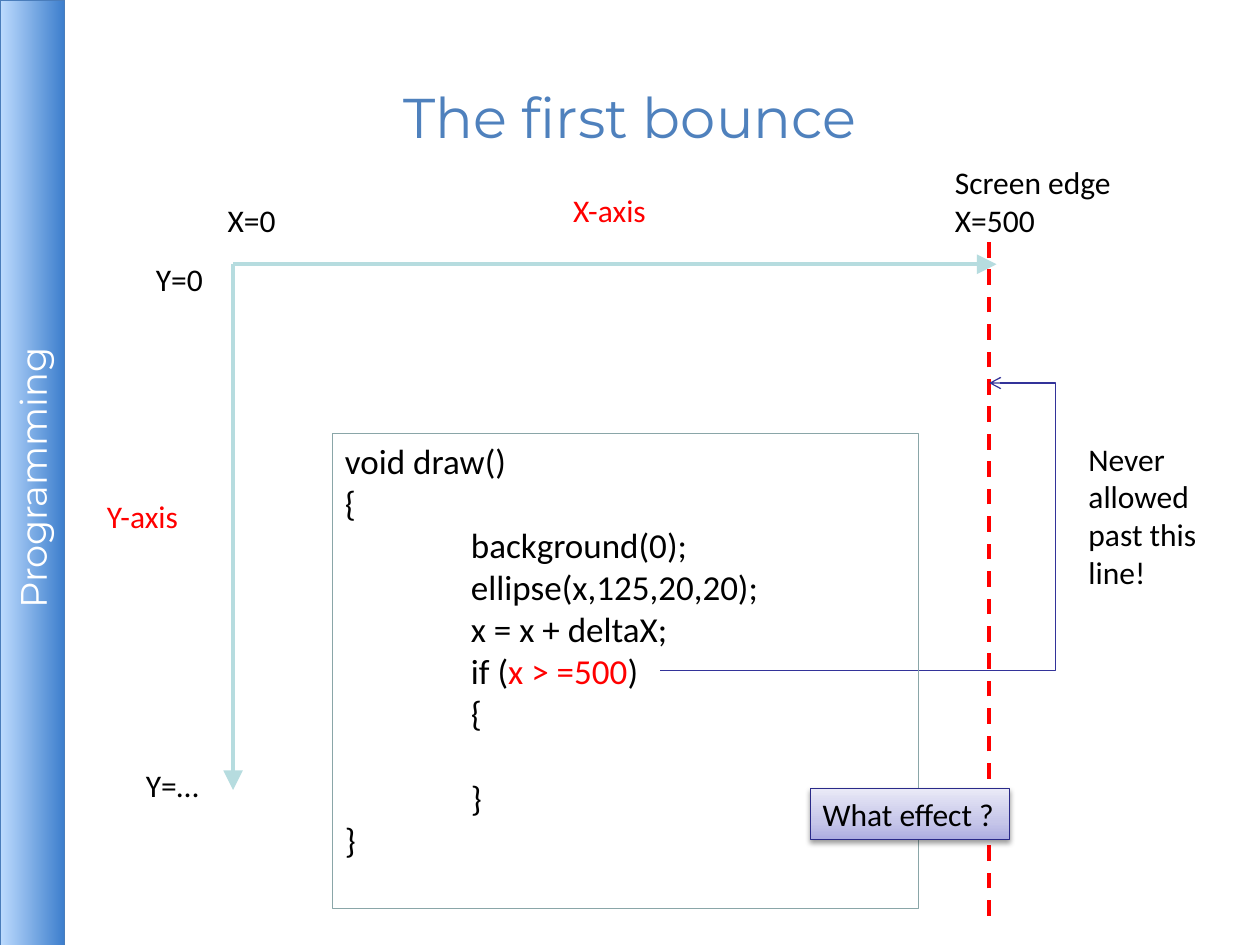
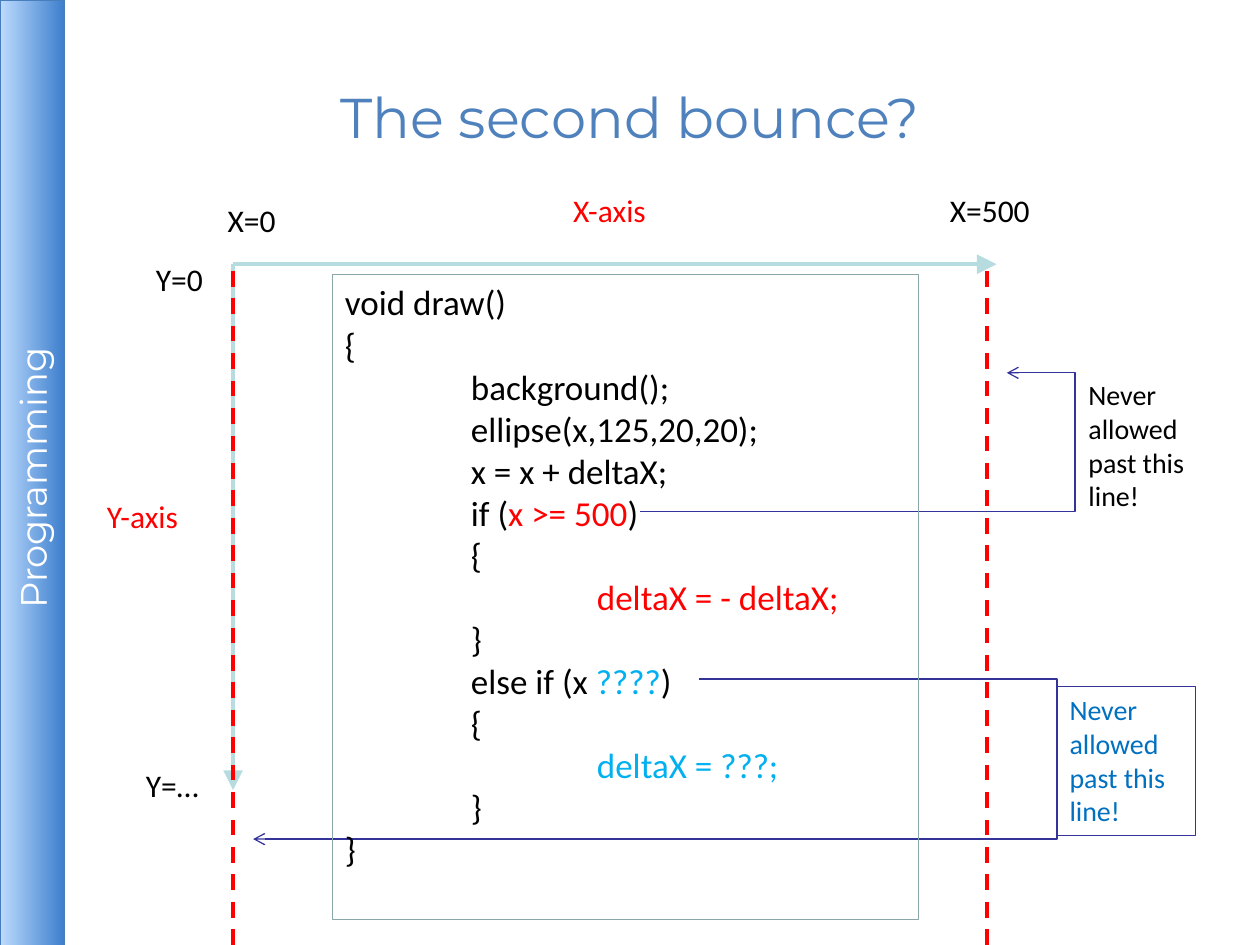
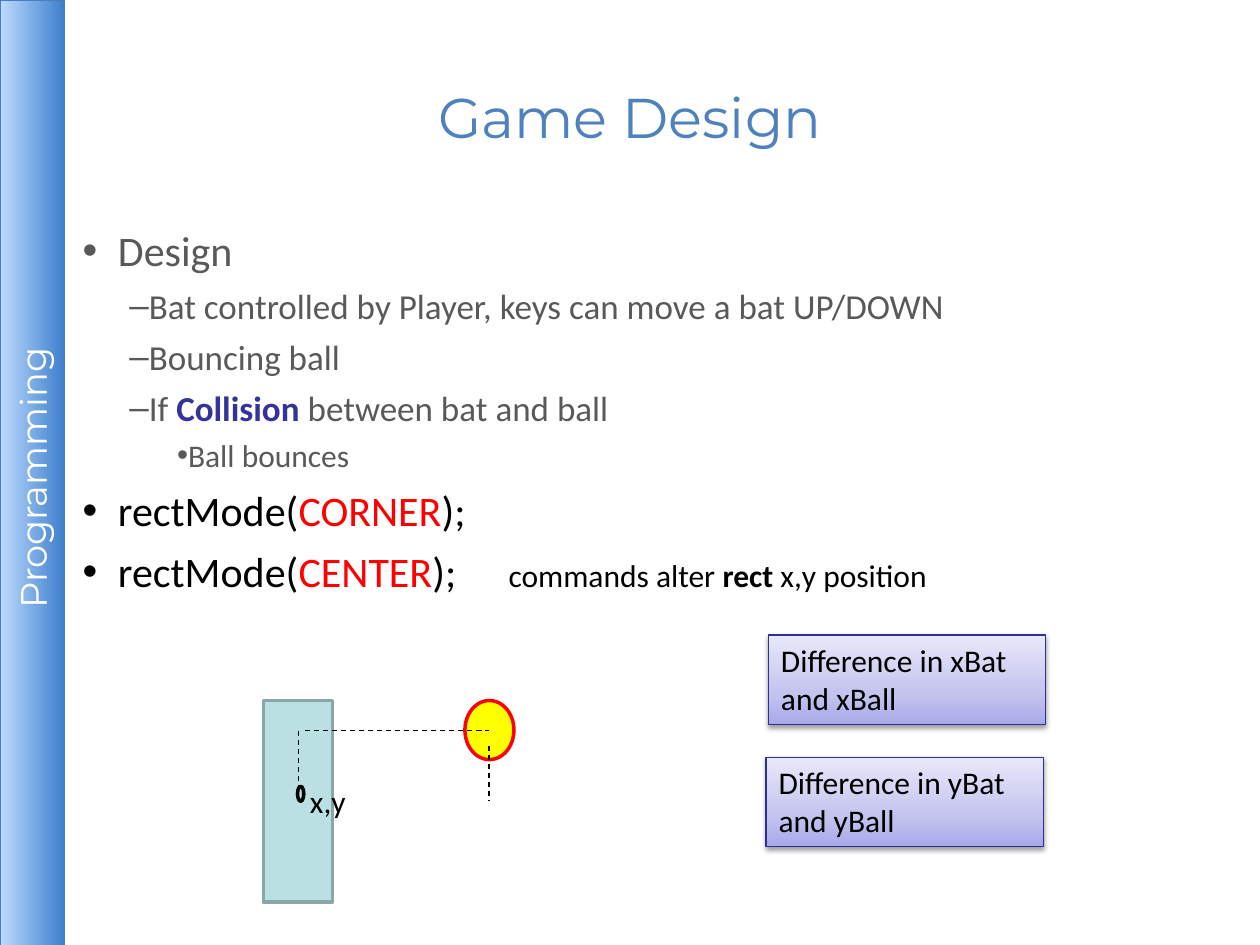
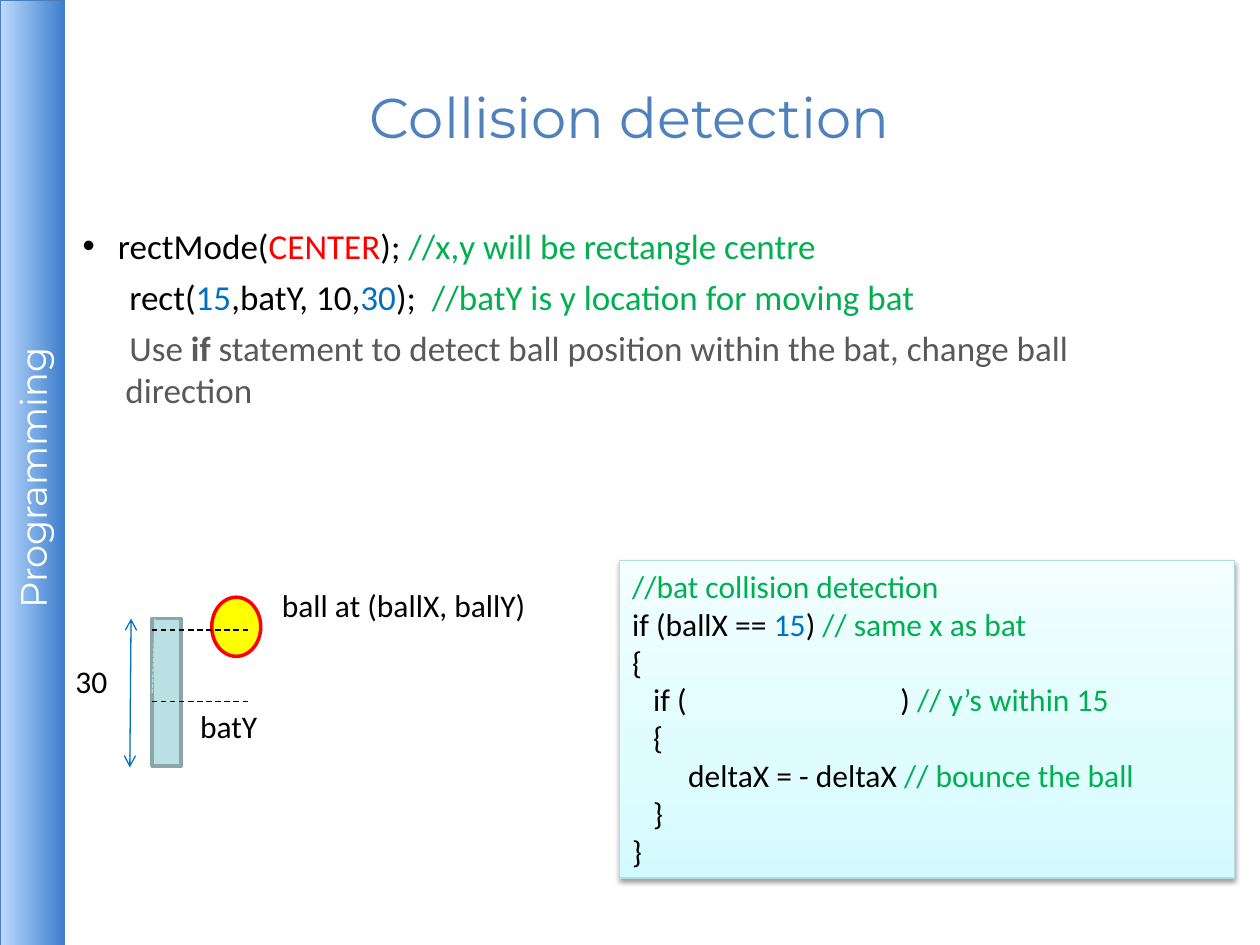
from lxml.etree import SubElement
from pptx import Presentation
from pptx.dml.color import RGBColor
from pptx.enum.dml import MSO_LINE
from pptx.enum.shapes import MSO_CONNECTOR, MSO_SHAPE
from pptx.enum.text import MSO_ANCHOR, MSO_AUTO_SIZE, PP_ALIGN
from pptx.oxml.ns import qn
from pptx.util import Pt


def hue(code):
    return RGBColor.from_string(code)


def write(frame, paras, base):
    """Fill a frame; each paragraph is (layout, run, run ...)."""
    for i, (form, *runs) in enumerate(paras):
        para = frame.paragraphs[0] if i == 0 else frame.add_paragraph()
        para.alignment = form.get("align", PP_ALIGN.LEFT)
        if "before" in form:
            para.space_before = Pt(form["before"])
        prop = para._p.get_or_add_pPr()
        prop.set("marL", str(Pt(form.get("left", 0))))
        prop.set("indent", str(Pt(form.get("first", 0))))
        if form.get("bullet"):
            SubElement(prop, qn("a:buChar"), char=form["bullet"])
        elif "bullet" in form:
            SubElement(prop, qn("a:buNone"))
        if "tab" in form:
            stops = SubElement(prop, qn("a:tabLst"))
            SubElement(stops, qn("a:tab"), pos=str(Pt(form["tab"])), algn="l")
        for item in runs:
            text, extra = (item, {}) if isinstance(item, str) else item
            run = para.add_run()
            run.text = text
            for key, val in {**base, **extra}.items():
                if key == "color":
                    run.font.color.rgb = hue(val)
                elif key == "spread":
                    run._r.get_or_add_rPr().set("spc", str(val * 100))
                else:
                    setattr(run.font, key, val)


# Text formats
plain = {"name": "Calibri", "size": Pt(18), "color": "000000"}
small = {**plain, "size": Pt(16)}
code = {**plain, "size": Pt(20)}
head = {"name": "Montserrat", "size": Pt(32), "color": "4F81BD"}
side = {**head, "size": Pt(21), "color": "FFFFFF"}
red, sky, blue, green, black, grey = (
    {"color": c} for c in
    ("FF0000", "00B0F0", "0070C0", "00B050", "000000", "595959"))
bold = {"bold": True}
note = {**black, "size": Pt(18)}

# Paragraph layouts
flush = {}
mid = {"align": PP_ALIGN.CENTER}
one, two = {"left": 72}, {"left": 144}
gap = {"left": 72, "before": 24.4}
inner, deep = {"left": 12}, {"left": 32}
dot = {"left": 20.2, "first": -20.2, "before": 6, "bullet": "•"}
dash = {"left": 24.5, "first": 2.2, "before": 5.2, "bullet": "–"}
bare = {**dash, "bullet": ""}
sub = {"left": 51.8, "first": 2.2, "before": 4.5, "bullet": "•"}

# Box looks: fill (none, one colour or gradient stops), line, width
lilac = [(0, "A9A9E9"), (35, "C4C4EF"), (100, "E8E8FA")]
looks = {
    "band": ([(0, "BDDBFE"), (100, "3E7FCD")], "4A7DBB", 0.75),
    "code": (None, "8AA6A8", 0.75),
    "frame": (None, "333399", 0.75),
    "hint": (lilac, "2F2F98", 0.75),
    "ask": ([(0, "ADADE1"), (35, "C6C6E9"), (100, "E9E9F7")], "2A2A89", 0.75),
    "aqua": ([(0, "D3FBFF"), (35, "DFFCFF"), (100, "F2FEFF")], "B6DCDF", 0.75),
    "bat": ("BBE0E3", "8AA6A8", 2),
    "ball": ("FFFF00", "FF0000", 2),
    "point": ("BBE0E3", "000000", 2),
}
round_looks = ("ball", "point")

# Line looks: colour, width, dash, head, tail, size of the arrowheads
pens = {
    "axis": ("B6DCDF", 2.25, None, None, "triangle", "lg"),
    "edge": ("FF0000", 2.25, MSO_LINE.DASH, None, None, None),
    "bend": ("333399", 0.75, None, None, "arrow", "med"),
    "thin": ("000000", 0.75, MSO_LINE.DASH, None, None, None),
    "pale": ("B6DCDF", 0.75, MSO_LINE.SQUARE_DOT, None, None, None),
    "span": ("0070C0", 0.75, None, "arrow", "arrow", "med"),
}

# Titles and lists
heads = ["The first bounce", "The second bounce?",
         "Game Design", "Collision detection"]
lists = {
    2: ({**code, **grey}, [
        (dot, ("Design", {"size": Pt(24)})),
        (dash, "Bat controlled by Player, keys can move a bat UP/DOWN"),
        (dash, "Bouncing ball"),
        (dash, "If ", ("Collision", {"color": "333399", **bold}),
         " between bat and ball"),
        (sub, ("Ball bounces", {"size": Pt(18)})),
        *[({**dot, "tab": 243.4},
           *[(text, {"size": Pt(24), **tint}) for text, tint in
             (("rectMode(", black), (mode, red), (");", black))], *tail)
          for mode, tail in (
              ("CORNER", []),
              ("CENTER", [("\tcommands alter ", note),
                          ("rect ", {**note, **bold}),
                          ("x,y position", note)]))],
    ]),
    3: (code, [
        (dot, "rectMode(", ("CENTER", red), "); ",
         ("//x,y will be rectangle centre", green)),
        (bare, "rect(", ("15", blue), ",batY, 10,", ("30", blue), ");  ",
         ("//batY is y location for moving bat", green)),
        (bare, ("Use ", grey), ("if", {**grey, **bold}),
         (" statement to detect ball position within the bat, "
          "change ball direction", grey)),
    ]),
}

# Code listings
first = [
    (flush, "void draw()"), (flush, "{"),
    (one, "background(0);"), (one, "ellipse(x,125,20,20);"),
    (one, "x = x + deltaX;"),
    (one, "if (", ("x > =500", red), ")"),
    (one, "{"), (gap, "}"), (flush, "}"),
]
second = [
    *first[:2], (one, "background();"), *first[3:5],
    (one, "if (", ("x >= 500", red), ")"),
    (one, "{"), (two, ("deltaX = - deltaX;", red)), (one, "}"),
    (one, "else if (x ", ("????", sky), ")"),
    (one, "{"), (two, ("deltaX = ???;", sky)), (one, "}"),
    (flush, "}"),
]
check = [
    (flush, ("//bat collision detection", green)),
    (flush, "if (ballX == ", ("15", blue), ") ", ("// same x as bat", green)),
    (flush, "{"),
    (inner, "if (", (" ", {"spread": 118}), ") ",
     ("// y’s within 15", green)),
    (inner, "{"),
    (deep, "deltaX = - deltaX ", ("// bounce the ball", green)),
    (inner, "}"), (flush, "}"),
]
never = [(flush, "Never allowed past this line!")]

# Boxes: slide, look, left, top, width, height, format, paragraphs
boxes = [
    (0, "band", 0, 0, 36.7, 540.7, side, [(mid, "Programming ")]),
    (0, "code", 190, 247.7, 334.8, 271.4, code, first),
    (1, "code", 190, 157, 334.8, 368.6, code, second),
    (0, None, 614.9, 247.7, 79.2, 94.3, plain, never),
    (1, None, 614.9, 212.4, 82, 85, small, never),
    (1, "frame", 604.1, 392.4, 79.2, 85, {**small, **blue}, never),
    (2, "point", 170, 449.3, 3.6, 8.6, plain, []),
    (2, "bat", 150.5, 400.3, 39.6, 115.2, plain, []),
    (2, "ball", 265.7, 400.3, 28, 33.8, plain, []),
    (2, "hint", 439.2, 362.9, 158.4, 51, plain,
     [(flush, "Difference in xBat and xBall")]),
    (2, "hint", 437.8, 432.7, 158.4, 51, plain,
     [(flush, "Difference in yBat and yBall")]),
    (3, "bat", 87, 353.5, 16.6, 84.2, plain, []),
    (3, "ball", 121, 341.3, 28, 33.8, plain, []),
    (3, "aqua", 354.2, 320.4, 351.4, 181.4, plain, check),
]

# Lines: slide, pen, x1, y1, x2, y2, x of the bend
lines = [
    (0, "edge", 565.2, 523.4, 565.2, 134.6, None),
    (0, "bend", 377.3, 383, 565.2, 218.9, 603.4),
    (1, "edge", 563.8, 540, 563.8, 151.2, None),
    (1, "edge", 133.2, 540, 133.2, 151.2, None),
    (1, "bend", 365.8, 292.3, 575.3, 213.1, 614.2),
    (1, "bend", 399.6, 388, 144.7, 479.5, 604.1),
    (2, "thin", 174.2, 417.6, 279.4, 417.6, None),
    (2, "thin", 170.6, 417.6, 170.6, 449.3, None),
    (2, "thin", 279.4, 426.2, 279.4, 457.9, None),
    (3, "span", 74.9, 353.5, 74.2, 438.5, None),
    (3, "pale", 87, 396, 88.6, 353.5, None),
    (3, "thin", 87, 401, 142.6, 401, None),
    (3, "thin", 87, 360, 142.6, 360, None),
]

# Labels: slide, text, left, top, width, colour
labels = [
    (1, "X=500", 535.7, 105.8, 62.6, black),
    (2, "x,y", 170, 443.5, 57, black),
    (3, "ball at (ballX, ballY)", 154, 331.2, 155.5, black),
    (3, "batY", 107.3, 400.3, 47.5, black),
    (3, "30", 36, 375, 33, black),
]
tight = ("What effect ?", "ball at (ballX, ballY)", "batY", "30")

# Axes on both bounce slides
for n in (0, 1):
    lines[:0] = [(n, "axis", 133.2, 151, 133.2, 451.4, None),
                 (n, "axis", 133.2, 151, 569.5, 151, None)]
    labels += [(n, "X=0", 123, 111.3, 45.4, black),
               (n, "X-axis", 320.4, 105.8, 85, red),
               (n, "Y=…", 76.3, 434.2, 67.7, black),
               (n, "Y=0", 82, 145, 62.6, black),
               (n, "Y-axis", 54, 280.5, 85, red)]
boxes += [(n, None, x, y, w, 29, {**plain, **tint}, [(flush, text)])
          for n, text, x, y, w, tint in labels]
boxes += [
    (0, None, 538.6, 89.7, 116, 51, plain,
     [(flush, "Screen edge"), (flush, "X=500")]),
    (0, "ask", 463, 450.7, 113.8, 29, plain, [(flush, "What effect ?")]),
]

# Slides with title and list
deck = Presentation()
deck.slide_width, deck.slide_height = Pt(720), Pt(540)
pages = []
for n, text in enumerate(heads):
    page = deck.slides.add_slide(deck.slide_layouts[1 if n in lists else 5])
    pages.append(page)
    parts = [(page.shapes.title, (36, 21.6, 648, 90), MSO_ANCHOR.MIDDLE,
              head, [(mid, text)])]
    if n in lists:
        parts.append((page.placeholders[1], (44.2, 125.3, 640, 377.3),
                      MSO_ANCHOR.TOP, *lists[n]))
    for hold, place, anchor, base, paras in parts:
        for key, val in zip(("left", "top", "width", "height"), place):
            setattr(hold, key, Pt(val))
        frame = hold.text_frame
        for edge in ("left", "top", "right", "bottom"):
            setattr(frame, "margin_" + edge, Pt(3))
        for key, val in {"vertical_anchor": anchor, "word_wrap": True,
                         "auto_size": MSO_AUTO_SIZE.NONE}.items():
            setattr(frame, key, val)
        write(frame, paras, base)

# Lines
for n, pen, x1, y1, x2, y2, bend in lines:
    color, width, style, start, end, size = pens[pen]
    kind = MSO_CONNECTOR.ELBOW if bend else MSO_CONNECTOR.STRAIGHT
    link = pages[n].shapes.add_connector(
        kind, Pt(x1), Pt(y1), Pt(x2), Pt(y2))
    link.line.color.rgb = hue(color)
    link.line.width = Pt(width)
    if style:
        link.line.dash_style = style
    prop = link.element.spPr
    for tag, tip in (("a:headEnd", start), ("a:tailEnd", end)):
        if tip:
            SubElement(prop.get_or_add_ln(), qn(tag),
                       type=tip, w=size, len=size)
    SubElement(prop, qn("a:effectLst"))
    if bend:
        ratio = round((bend - x1) / (x2 - x1) * 100000)
        SubElement(link.element.xpath(".//a:avLst")[0], qn("a:gd"),
                   name="adj1", fmla=f"val {ratio}")

# Boxes and labels
for n, look, x, y, w, h, base, paras in boxes:
    place = [Pt(v) for v in (x, y, w, h)]
    if look:
        kind = MSO_SHAPE.OVAL if look in round_looks else MSO_SHAPE.RECTANGLE
        box = pages[n].shapes.add_shape(kind, *place)
        fill, color, width = looks[look]
        box.line.color.rgb = hue(color)
        box.line.width = Pt(width)
        box.shadow.inherit = False
        if fill is None:
            box.fill.background()
        elif isinstance(fill, str):
            box.fill.solid()
            box.fill.fore_color.rgb = hue(fill)
            # Solid shapes lie behind the lines
            pages[n].shapes.element.insert(2, box.element)
        else:
            box.fill.gradient()
            box.fill.gradient_angle = 0 if look == "band" else 90
            stops = box.element.xpath(".//a:gsLst")[0]
            for stop in list(stops):
                stops.remove(stop)
            for pos, tint in fill:
                stop = SubElement(stops, qn("a:gs"), pos=str(pos * 1000))
                SubElement(stop, qn("a:srgbClr"), val=tint)
            blur, far, dim = (0, 1.8, 35) if look == "band" else (3.1, 1.6, 38)
            cast = SubElement(
                box.element.xpath(".//a:effectLst")[0], qn("a:outerShdw"),
                blurRad=str(Pt(blur)), dist=str(Pt(far)), dir="5400000",
                rotWithShape="0")
            ink = SubElement(cast, qn("a:srgbClr"), val="000000")
            SubElement(ink, qn("a:alpha"), val=str(dim * 1000))
    else:
        box = pages[n].shapes.add_textbox(*place)
    if not paras:
        continue
    frame = box.text_frame
    band = look == "band"
    for key, val in {
            "word_wrap": paras[0][1] not in tight,
            "vertical_anchor": MSO_ANCHOR.MIDDLE if band else MSO_ANCHOR.TOP,
            "auto_size": MSO_AUTO_SIZE.NONE if band
            else MSO_AUTO_SIZE.SHAPE_TO_FIT_TEXT}.items():
        setattr(frame, key, val)
    write(frame, paras, base)
    if band:
        # The side band belongs to the master, behind everything
        box.element.xpath(".//a:bodyPr")[0].set("vert", "vert270")
        box.element.nvSpPr.cNvPr.set("id", "99")
        deck.slide_master.shapes.element.insert(2, box.element)

deck.save("out.pptx")
